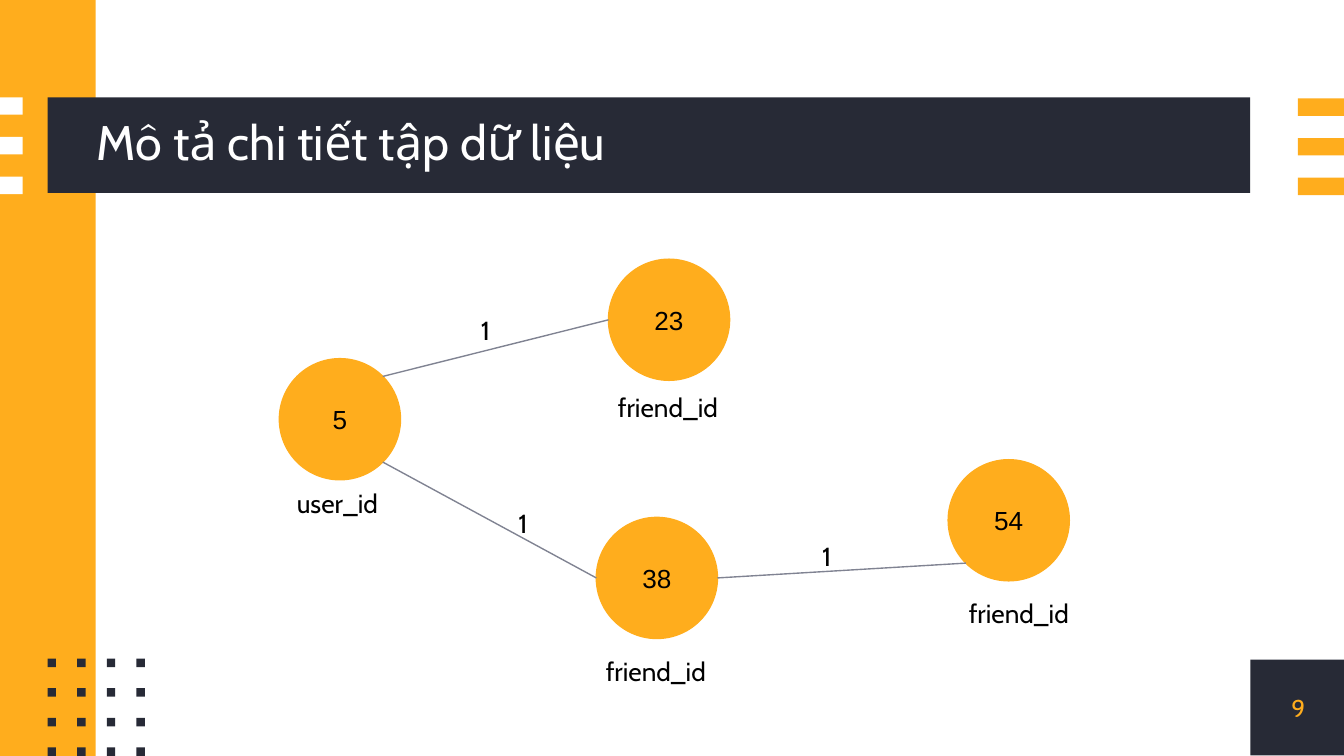
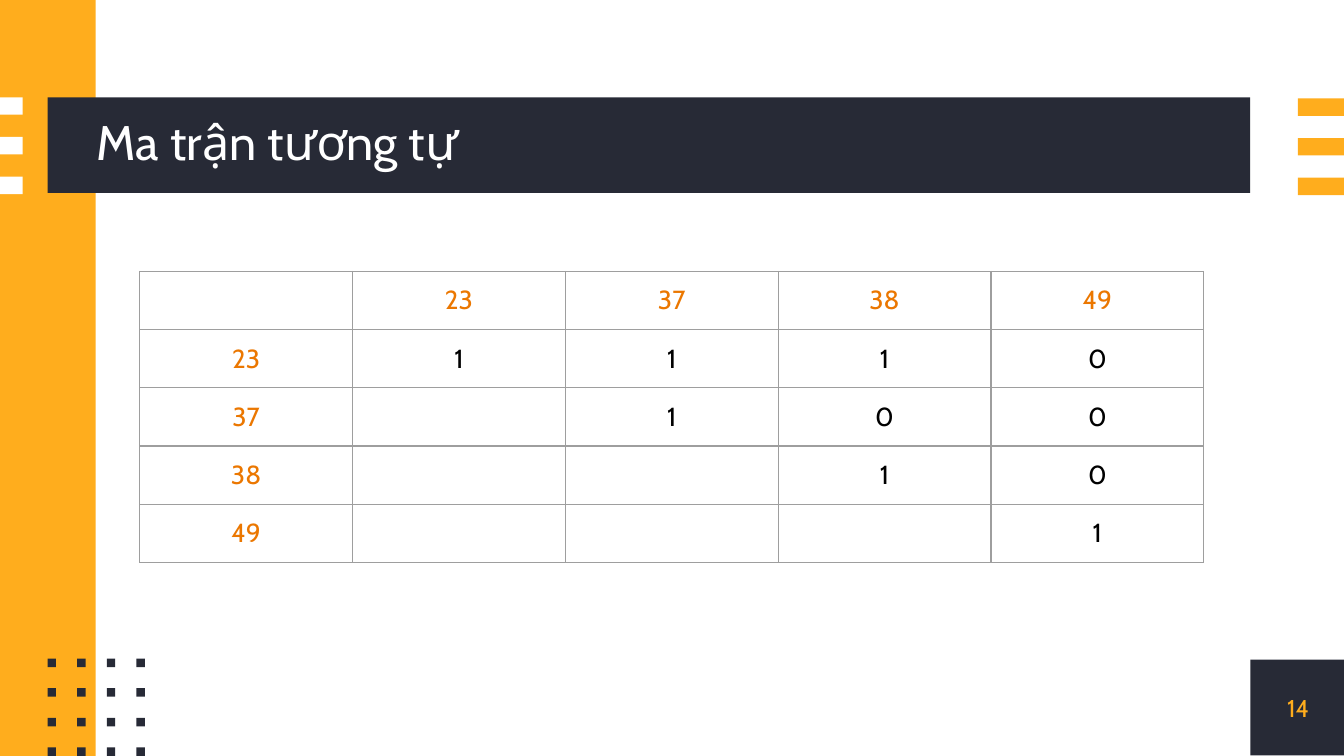
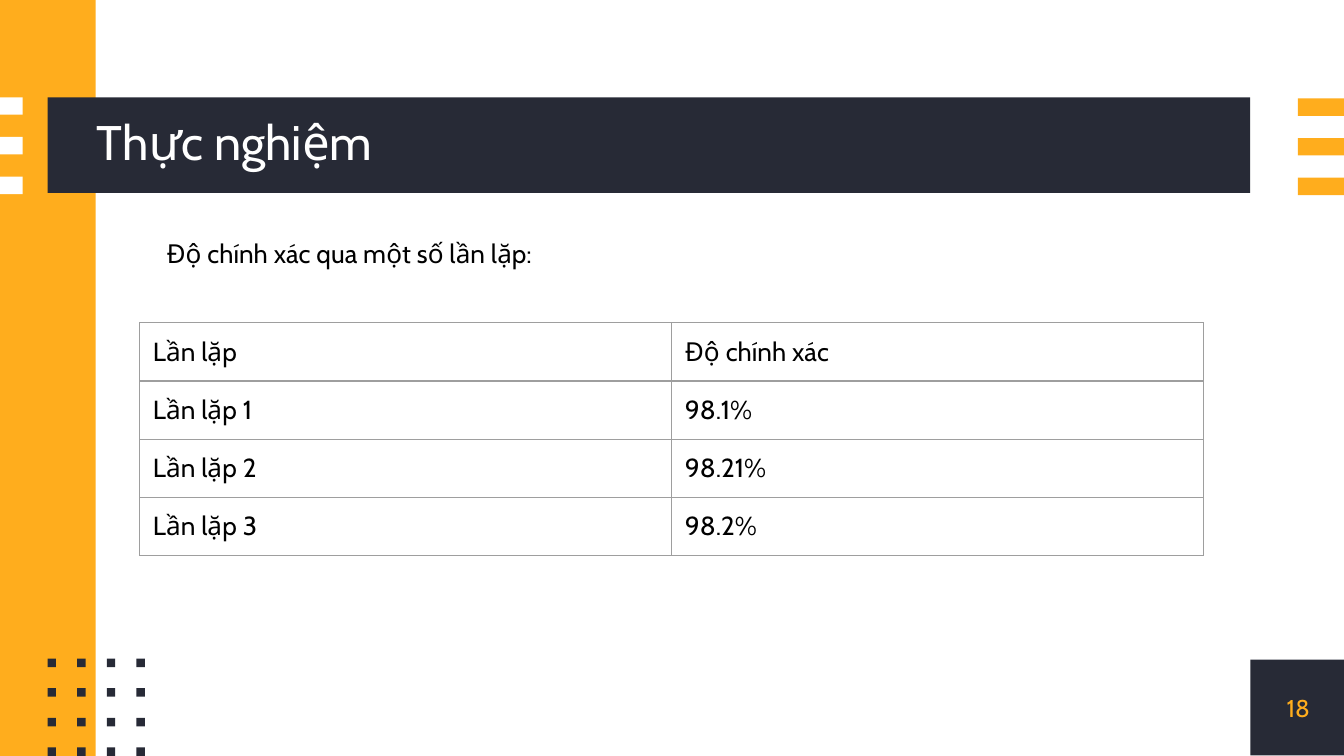
"""Builds three slides on a friend graph, its similarity matrix and the accuracy."""
from math import cos, radians, sin

from lxml.etree import SubElement
from pptx import Presentation
from pptx.dml.color import RGBColor
from pptx.enum.shapes import MSO_CONNECTOR, MSO_SHAPE
from pptx.enum.text import MSO_ANCHOR as Anchor
from pptx.enum.text import MSO_AUTO_SIZE as AutoSize
from pptx.enum.text import PP_ALIGN as Align
from pptx.oxml.ns import qn
from pptx.util import Cm, Pt

COLOURS = {
    "amber": "FFAD1D",
    "navy": "272A36",
    "white": "FFFFFF",
    "black": "000000",
    "orange": "EB7700",
    "edge": "808392",
    "border": "9E9E9E",
}
FONT = "Cabin"
INSET = 0.25
NODE_SIZE = 2.29
BAND = (0.9, 1.84, 22.73, 1.81)
TITLE = (1.83, 1.84, 21.8, 1.81)
NUMBER_BOX = (23.63, 12.47, 1.81, 1.81)
TABLE_LEFT, TABLE_WIDTH, ROW_HEIGHT = 2.64, 20.11, 1.1

NODES = {
    "5": (5.28, 6.78),
    "23": (11.5, 4.9),
    "38": (11.27, 9.78),
    "54": (17.92, 8.69),
}
EDGES = [("5", -45, "23", 180), ("5", 45, "38", 180), ("38", 0, "54", 135)]
NODE_LABELS = [
    ("user_id", 5.36, 8.97),
    ("friend_id", 18.06, 11.05),
    ("friend_id", 11.2, 12.14),
    ("friend_id", 11.43, 7.14),
]
WEIGHT_POSITIONS = [(9.55, 9.35), (15.29, 9.96), (8.84, 5.69)]
SIMILARITY = [
    ["", "23", "37", "38", "49"],
    ["23", "1", "1", "1", "0"],
    ["37", "", "1", "0", "0"],
    ["38", "", "", "1", "0"],
    ["49", "", "", "", "1"],
]
ACCURACY = [
    ["Lần lặp", "Độ chính xác"],
    ["Lần lặp 1", "98.1%"],
    ["Lần lặp 2", "98.21%"],
    ["Lần lặp 3", "98.2%"],
]


def colour(name):
    """Return the named colour."""
    return RGBColor.from_string(COLOURS[name])


def lengths(values):
    """Turn centimetre values into lengths."""
    return [Cm(value) for value in values]


def write(frame, text, size=14, ink="black", font=FONT, align=Align.LEFT,
          anchor=Anchor.TOP, inset=INSET):
    """Write one formatted run into a text frame and return its paragraph."""
    frame.word_wrap = True
    frame.vertical_anchor = anchor
    frame.margin_left = frame.margin_right = Cm(inset)
    frame.margin_top = frame.margin_bottom = Cm(inset)
    paragraph = frame.paragraphs[0]
    paragraph.alignment = align
    run = paragraph.add_run()
    run.text = text
    run.font.size = Pt(size)
    run.font.name = font
    run.font.color.rgb = colour(ink)
    return paragraph


def add_block(slide, box, fill, kind=MSO_SHAPE.RECTANGLE):
    """Add a plain filled shape."""
    shape = slide.shapes.add_shape(kind, *lengths(box))
    shape.shadow.inherit = False
    shape.fill.solid()
    shape.fill.fore_color.rgb = colour(fill)
    shape.line.fill.background()
    return shape


def add_label(slide, text, box):
    """Add a text box that grows with its text."""
    frame = slide.shapes.add_textbox(*lengths(box)).text_frame
    write(frame, text)
    frame.auto_size = AutoSize.SHAPE_TO_FIT_TEXT


def decorate_layout(layout, slide):
    """Draw the shared bands, stripes and dots and move them into the layout."""
    for placeholder in list(layout.placeholders)[1:]:
        element = placeholder.element
        element.getparent().remove(element)
    blocks = [
        (NUMBER_BOX, "navy"),
        ((0, 0, 1.81, 14.29), "amber"),
        (BAND, "navy"),
    ]
    for row in range(3):
        blocks.append(((0, 1.84 + 0.75 * row, 0.43, 0.33), "white"))
        blocks.append(((24.53, 1.86 + 0.75 * row, 0.87, 0.33), "amber"))
    for row in range(4):
        for column in range(4):
            dot = (0.9 + 0.56 * column, 12.45 + 0.56 * row, 0.16, 0.16)
            blocks.append((dot, "navy"))
    for box, fill in blocks:
        layout.shapes.element.append(add_block(slide, box, fill).element)


def add_slide(presentation, layout, title, number):
    """Add a slide with its title and number."""
    slide = presentation.slides.add_slide(layout)
    heading = slide.shapes.title
    heading.left, heading.top, heading.width, heading.height = lengths(TITLE)
    heading.text_frame.auto_size = AutoSize.NONE
    paragraph = write(heading.text_frame, title, 26, "white",
                      anchor=Anchor.MIDDLE, inset=0)
    paragraph.line_spacing = 0.9
    number_box = slide.shapes.add_textbox(*lengths(NUMBER_BOX))
    write(number_box.text_frame, number, 13, "amber", align=Align.CENTER,
          anchor=Anchor.MIDDLE, inset=0)
    return slide


def add_node(slide, name):
    """Add a graph node as a circle."""
    node = add_block(slide, (*NODES[name], NODE_SIZE, NODE_SIZE), "amber",
                     MSO_SHAPE.OVAL)
    node.line.color.rgb = colour("amber")
    node.line.width = Pt(0.75)
    write(node.text_frame, name, font="Arial", align=Align.CENTER,
          anchor=Anchor.MIDDLE)


def rim_point(name, angle):
    """Return the point on a node's rim at a clockwise angle from the right."""
    left, top = NODES[name]
    radius = NODE_SIZE / 2
    return (left + radius * (1 + cos(radians(angle))),
            top + radius * (1 + sin(radians(angle))))


def add_edge(slide, start, start_angle, end, end_angle):
    """Join two nodes with a straight line."""
    points = rim_point(start, start_angle) + rim_point(end, end_angle)
    edge = slide.shapes.add_connector(MSO_CONNECTOR.STRAIGHT, *lengths(points))
    edge.line.color.rgb = colour("edge")
    edge.line.width = Pt(0.75)
    SubElement(edge.element.spPr, qn("a:effectLst"))


def add_borders(cell):
    """Give a cell thin grey borders."""
    properties = cell._tc.get_or_add_tcPr()
    for side in ("a:lnL", "a:lnR", "a:lnT", "a:lnB"):
        line = SubElement(properties, qn(side), w=str(Pt(0.75)))
        fill = SubElement(line, qn("a:solidFill"))
        SubElement(fill, qn("a:srgbClr"), val=COLOURS["border"])


def add_grid(slide, rows, top, header="black", align=Align.LEFT,
             anchor=Anchor.TOP):
    """Add a bordered table whose first row and column take the header colour."""
    box = (TABLE_LEFT, top, TABLE_WIDTH, ROW_HEIGHT * len(rows))
    frame = slide.shapes.add_table(len(rows), len(rows[0]), *lengths(box))
    table = frame.table
    table.first_row = table.horz_banding = False
    for row, values in enumerate(rows):
        for column, value in enumerate(values):
            cell = table.cell(row, column)
            add_borders(cell)
            cell.fill.solid()
            cell.fill.fore_color.rgb = colour("white")
            cell.vertical_anchor = anchor
            cell.margin_left = cell.margin_right = Cm(INSET)
            cell.margin_top = cell.margin_bottom = Cm(INSET)
            paragraph = cell.text_frame.paragraphs[0]
            paragraph.alignment = align
            if not value:
                SubElement(paragraph._p, qn("a:endParaRPr"), sz="1400")
                continue
            run = paragraph.add_run()
            run.text = value
            run.font.size = Pt(14)
            run.font.name = FONT
            is_header = row == 0 or column == 0
            run.font.color.rgb = colour(header if is_header else "black")


def add_graph(slide):
    """Draw the friend graph with its labels and weights."""
    for name in NODES:
        add_node(slide, name)
    for edge in EDGES:
        add_edge(slide, *edge)
    for text, left, top in NODE_LABELS:
        add_label(slide, text, (left, top, 2.44, 1.12))
    for left, top in WEIGHT_POSITIONS:
        add_label(slide, "1", (left, top, 0.91, 1.12))


def main():
    """Build and save the presentation."""
    presentation = Presentation()
    presentation.slide_width, presentation.slide_height = lengths((25.4, 14.29))
    layout = presentation.slide_layouts[5]

    graph = add_slide(presentation, layout, "Mô tả chi tiết tập dữ liệu", "9")
    decorate_layout(layout, graph)
    add_graph(graph)

    matrix = add_slide(presentation, layout, "Ma trận tương tự", "14")
    add_grid(matrix, SIMILARITY, 5.13, "orange", Align.CENTER, Anchor.MIDDLE)

    experiment = add_slide(presentation, layout, "Thực nghiệm", "18")
    add_label(experiment, "Độ chính xác qua một số lần lặp:",
              (2.9, 4.24, 20.73, 2.31))
    add_grid(experiment, ACCURACY, 6.1)

    presentation.save("out.pptx")


if __name__ == "__main__":
    main()
